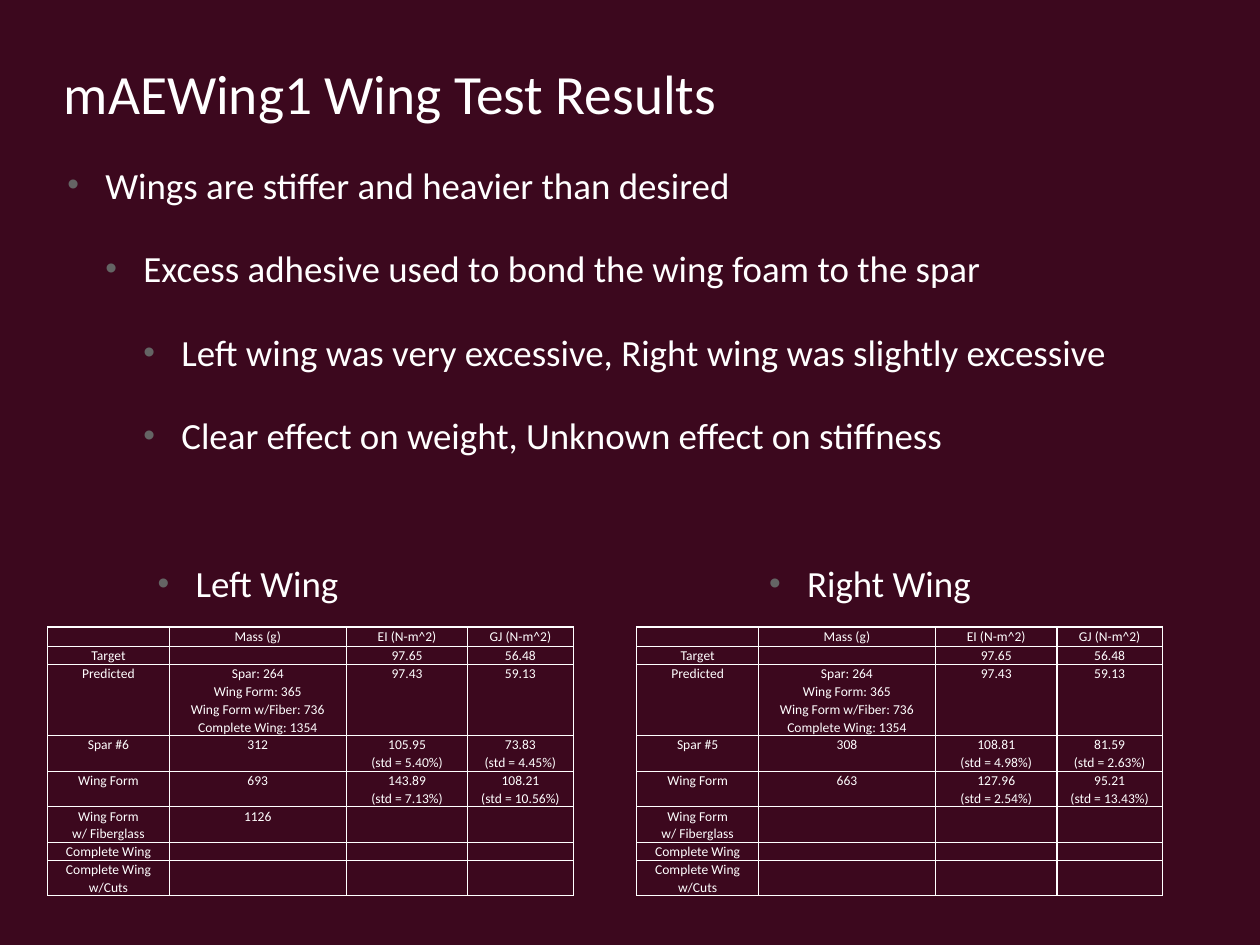
from pptx import Presentation
from pptx.dml.color import RGBColor
from pptx.enum.text import MSO_ANCHOR as Anchor, PP_ALIGN as Align
from pptx.oxml import parse_xml
from pptx.oxml.ns import nsdecls
from pptx.util import Cm, Pt

COLORS = {"background": "3C081E", "text": "FFFFFF", "bullet": "646464"}
FONT = "Calibri"
INDENT = Cm(1.09)

prs = Presentation()
prs.slide_width, prs.slide_height = Cm(36.12), Cm(27.1)
slide = prs.slides.add_slide(prs.slide_layouts[6])
slide.background.fill.solid()
slide.background.fill.fore_color.rgb = RGBColor.from_string(COLORS["background"])


def write(paragraph, text, size):
    run = paragraph.add_run()
    run.text = text
    for name, value in {"name": FONT, "size": Pt(size)}.items():
        setattr(run.font, name, value)
    run.font.color.rgb = RGBColor.from_string(COLORS["text"])


def add_text(box, lines, size, bulleted=True, anchor=Anchor.TOP, align=Align.LEFT):
    frame = slide.shapes.add_textbox(*(Cm(v) for v in box)).text_frame
    frame_format = {"word_wrap": True, "vertical_anchor": anchor, "margin_left": 0,
                    "margin_right": 0, "margin_top": 0, "margin_bottom": 0}
    for name, value in frame_format.items():
        setattr(frame, name, value)
    for i, (level, text) in enumerate(lines):
        paragraph = frame.add_paragraph() if i else frame.paragraphs[0]
        paragraph.alignment, paragraph.level = align, level
        write(paragraph, text, size)
        if not bulleted:
            continue
        paragraph.space_before = Pt(32)
        props = paragraph._p.get_or_add_pPr()
        props.set("marL", str(INDENT * (level + 1)))
        props.set("indent", str(-INDENT))
        for tag in (f'<a:buClr {nsdecls("a")}><a:srgbClr val="{COLORS["bullet"]}"/></a:buClr>',
                    f'<a:buSzPct {nsdecls("a")} val="90000"/>',
                    f'<a:buFont {nsdecls("a")} typeface="Arial"/>',
                    f'<a:buChar {nsdecls("a")} char="•"/>'):
            props.append(parse_xml(tag))


# Title and findings
add_text((1.83, 1.7, 26.19, 5.16), [(0, "mAEWing1 Wing Test Results")], 45, bulleted=False)
add_text((1.93, 4.65, 32, 9.32), [
    (0, "Wings are stiffer and heavier than desired"),
    (1, "Excess adhesive used to bond the wing foam to the spar"),
    (2, "Left wing was very excessive, Right wing was slightly excessive"),
    (2, "Clear effect on weight, Unknown effect on stiffness"),
], 30)

# Rows shared by both wings, around the measured ones
TOP_ROWS = [
    ["", "Mass (g)", "EI (N-m^2)", "GJ (N-m^2)"],
    ["Target", "", "97.65", "56.48"],
    ["Predicted", "Spar: 264\nWing Form: 365\nWing Form w/Fiber: 736\nComplete Wing: 1354",
     "97.43", "59.13"],
]
BOTTOM_ROWS = [["Complete Wing", "", "", ""], ["Complete Wing\nw/Cuts", "", "", ""]]
COLUMN_WIDTHS = [3.48, 5.08, 3.48, 3.02]
HEADER_HEIGHT, LINE_HEIGHT = 0.57, 0.51

wings = [
    ("Left Wing", 4.52, Align.LEFT, 1.37, [
        ["Spar #6", "312", "105.95\n(std = 5.40%)", "73.83\n(std = 4.45%)"],
        ["Wing Form", "693", "143.89\n(std = 7.13%)", "108.21\n(std = 10.56%)"],
        ["Wing Form\nw/ Fiberglass", "1126", "", ""]]),
    ("Right Wing", 21.03, Align.CENTER, 18.26, [
        ["Spar #5", "308", "108.81\n(std = 4.98%)", "81.59\n(std = 2.63%)"],
        ["Wing Form", "663", "127.96\n(std = 2.54%)", "95.21\n(std = 13.43%)"],
        ["Wing Form\nw/ Fiberglass", "", "", ""]]),
]

for heading, heading_left, heading_align, table_left, measured in wings:
    # Wing heading
    add_text((heading_left, 16.08, 7.82, 1.27), [(0, heading)], 30,
             anchor=Anchor.MIDDLE, align=heading_align)

    # Wing results
    rows = TOP_ROWS + measured + BOTTOM_ROWS
    heights = [LINE_HEIGHT * max(text.count("\n") + 1 for text in row) for row in rows]
    heights[0] = HEADER_HEIGHT
    results = slide.shapes.add_table(
        len(rows), len(COLUMN_WIDTHS), Cm(table_left), Cm(17.98),
        Cm(sum(COLUMN_WIDTHS)), Cm(sum(heights))).table
    results.first_row = results.horz_banding = False
    for column, width in zip(results.columns, COLUMN_WIDTHS):
        column.width = Cm(width)
    for r, row in enumerate(rows):
        results.rows[r].height = Cm(heights[r])
        for c, text in enumerate(row):
            cell = results.cell(r, c)
            cell_format = {"margin_left": Cm(0.18), "margin_right": Cm(0.18),
                           "margin_top": 0, "margin_bottom": 0}
            for name, value in cell_format.items():
                setattr(cell, name, value)
            for side in ("lnL", "lnR", "lnT", "lnB"):
                cell._tc.get_or_add_tcPr().append(parse_xml(
                    f'<a:{side} {nsdecls("a")} w="12700"><a:solidFill>'
                    f'<a:srgbClr val="{COLORS["text"]}"/></a:solidFill></a:{side}>'))
            cell.fill.background()
            for i, line in enumerate(text.split("\n")):
                frame = cell.text_frame
                paragraph = frame.add_paragraph() if i else frame.paragraphs[0]
                paragraph.alignment, paragraph.line_spacing = Align.CENTER, 1.07
                if line:
                    write(paragraph, line, 11)
                else:  # keeps an empty cell as low as a line of text
                    paragraph._p.append(parse_xml(f'<a:endParaRPr {nsdecls("a")} sz="1100"/>'))

prs.save("out.pptx")
